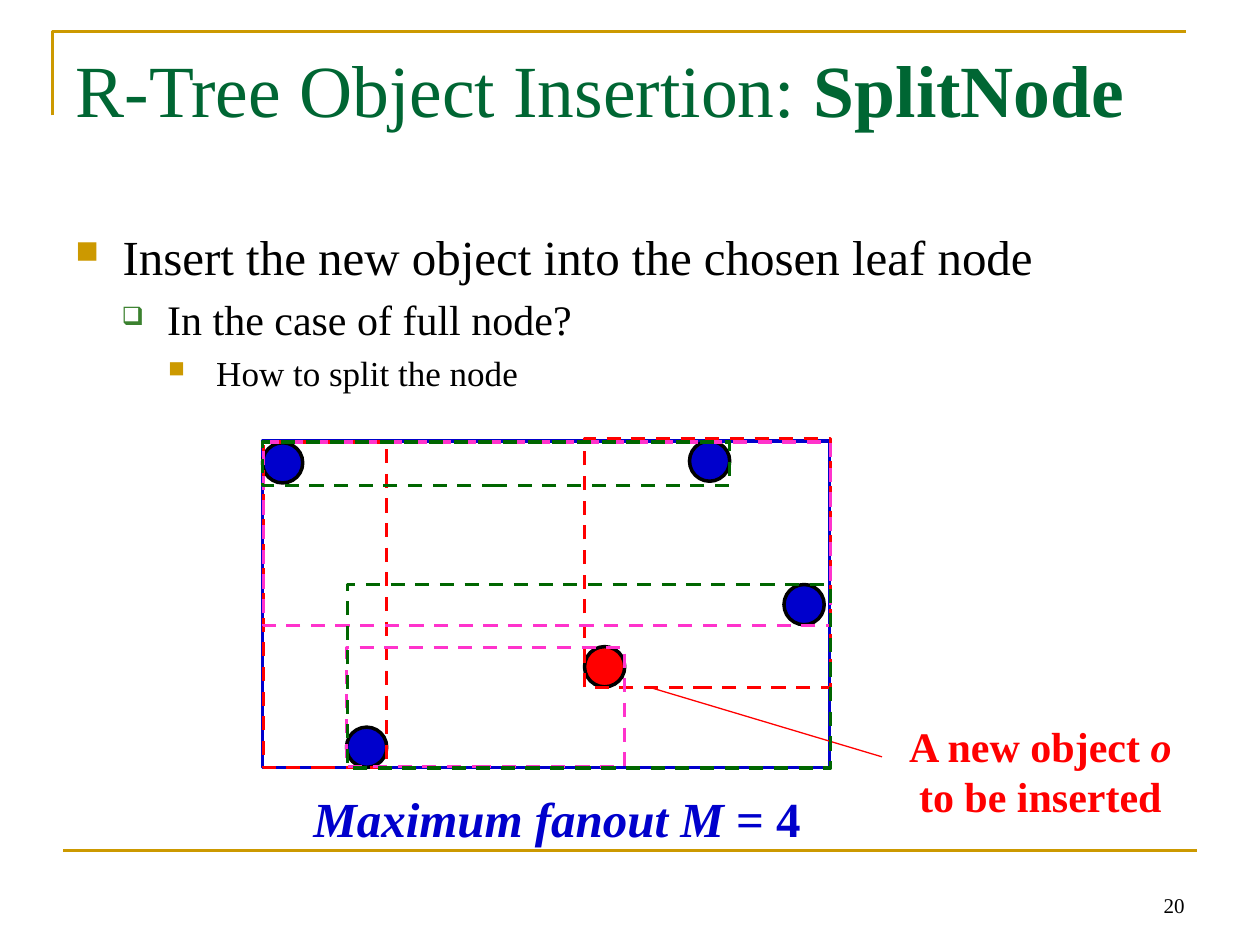
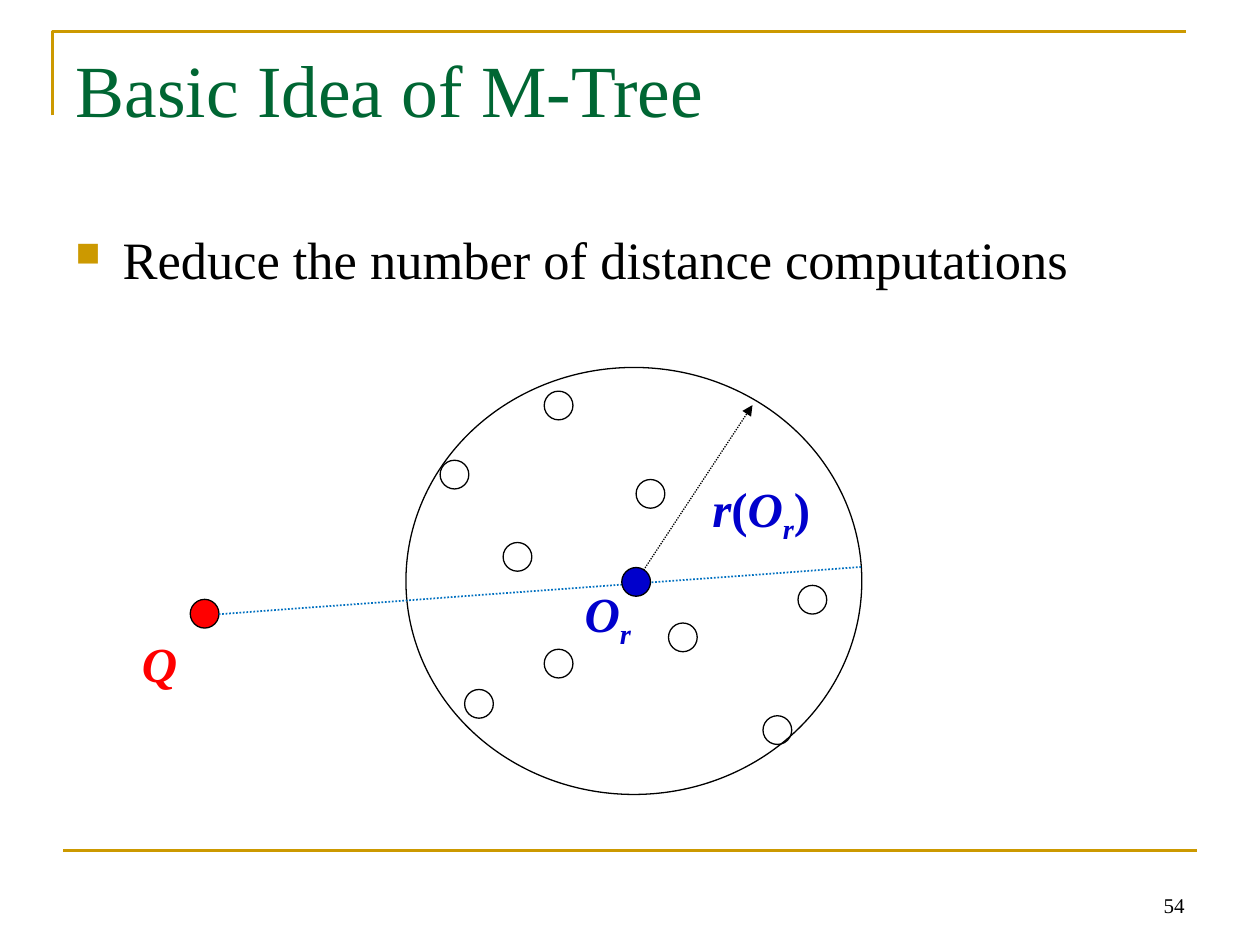
from lxml.etree import SubElement
from pptx import Presentation
from pptx.dml.color import RGBColor
from pptx.enum.dml import MSO_LINE as DASH
from pptx.enum.shapes import MSO_CONNECTOR, MSO_SHAPE
from pptx.enum.text import MSO_ANCHOR as ANCHOR, MSO_AUTO_SIZE as AUTO, PP_ALIGN as ALIGN
from pptx.oxml.ns import qn
from pptx.util import Pt

FONT = "Times New Roman"
COLORS = {
    "gold": "CC9900", "title": "006633", "sub_bullet": "3B812F", "black": "000000",
    "white": "FFFFFF", "blue": "0000CC", "red": "FF0000", "pink": "FF33CC",
    "green": "006600", "sky": "0070C0",
}
BULLETS = [
    ("■", "gold", 65, 27, 27),
    ("❑", "sub_bullet", 60, 52.5, 26),
    ("■", "gold", 65, 80.5, 27.5),
]

SPLIT = {
    "title": [("R-Tree Object Insertion: ", ""), ("SplitNode", "b")],
    "body": [
        ("Insert the new object into the chosen leaf node", 28),
        ("In the case of full node?", 24),
        ("How to split the node", 20),
    ],
    "align": ALIGN.JUSTIFY,
    "number": "20",
}
NODE = (150, 252, 324, 186.5)
BALL = 23
BALLS = [
    (334, 369.5, "red"), (150, 253, "blue"), (448, 334, "blue"),
    (394, 252, "blue"), (198, 415.5, "blue"),
]
SPLIT_BOXES = [
    (334, 250.5, 140.5, 142.5, "red"), (150.5, 252.5, 70.5, 186, "red"),
    (198, 370, 159, 68, "pink"), (150.5, 252.5, 324, 105, "pink"),
    (198.5, 334, 276, 105, "green"), (150, 252.5, 267, 25, "green"),
]
FANOUT = [("Maximum fanout M ", "bi"), ("= 4", "b")]
NEW_OBJECT = [("A new object ", "b"), ("o", "bi"), (" to be inserted", "b")]

MTREE = {
    "title": [("Basic Idea of M-Tree", "")],
    "body": [("Reduce the number of distance computations", 30)],
    "align": ALIGN.LEFT,
    "number": "54",
}
REGION = (232, 210, 260.5, 244)
DOT = 16.4
MEMBERS = [
    (311, 223.5), (287.5, 310), (363.5, 274), (456, 334.5), (436, 409),
    (251.5, 263), (311, 371), (382, 356), (265.5, 394),
]
QUERY, CENTER = (108.7, 342.5), (355.3, 324.3)
CENTER_LABEL = [("O", "bi"), ("r", "bis")]
RADIUS_LABEL = [("r", "bi"), ("(", "b"), ("O", "bi"), ("r", "bis"), (")", "b")]


def rgb(name):
    return RGBColor.from_string(COLORS[name])


def style_line(shape, color, width, dash=None):
    shape.line.color.rgb = rgb(color)
    shape.line.width = Pt(width)
    if dash:
        shape.line.dash_style = dash


def style_run(r, size, color, flags=""):
    r.font.name, r.font.size, r.font.color.rgb = FONT, Pt(size), rgb(color)
    r.font.bold, r.font.italic = "b" in flags, "i" in flags
    if "s" in flags:
        r._r.get_or_add_rPr().set("baseline", "-25000")


def write_runs(p, parts, size, color):
    for text, flags in parts:
        r = p.add_run()
        r.text = text
        style_run(r, size, color, flags)


def add_preset(s, kind, box, fill, line, width, dash=None):
    sp = s.shapes.add_shape(kind, *map(Pt, box))
    sp.shadow.inherit = False
    if fill:
        sp.fill.solid()
        sp.fill.fore_color.rgb = rgb(fill)
    else:
        sp.fill.background()
    style_line(sp, line, width, dash)


def add_line(s, start, end, color, width, dash=None, arrow=False):
    cx = s.shapes.add_connector(MSO_CONNECTOR.STRAIGHT, *map(Pt, start + end))
    style_line(cx, color, width, dash)
    if arrow:
        SubElement(cx.line._get_or_add_ln(), qn("a:tailEnd"), type="triangle")
    SubElement(cx._element.spPr, qn("a:effectLst"))


def add_text(s, box, parts, size, color, align=ALIGN.LEFT, anchor=ANCHOR.TOP, wrap=True):
    tf = s.shapes.add_textbox(*map(Pt, box)).text_frame
    tf.word_wrap, tf.vertical_anchor = wrap, anchor
    tf.paragraphs[0].alignment = align
    write_runs(tf.paragraphs[0], parts, size, color)


def set_bullet(p, level):
    char, color, percent, margin, hang = BULLETS[level]
    p.level = level
    pPr = p._p.get_or_add_pPr()
    pPr.set("marL", str(Pt(margin)))
    pPr.set("indent", str(-Pt(hang)))
    before = SubElement(pPr, qn("a:spcBef"))
    SubElement(before, qn("a:spcPct"), val="20000")
    tint = SubElement(pPr, qn("a:buClr"))
    SubElement(tint, qn("a:srgbClr"), val=COLORS[color])
    SubElement(pPr, qn("a:buSzPct"), val=str(percent * 1000))
    SubElement(pPr, qn("a:buChar"), char=char)


def add_body(s, lines, align):
    tf = s.shapes.add_textbox(Pt(36), Pt(126), Pt(648), Pt(356.5)).text_frame
    tf.word_wrap = True
    for level, (text, size) in enumerate(lines):
        p = tf.add_paragraph() if level else tf.paragraphs[0]
        p.text = text
        p.alignment = align
        set_bullet(p, level)
        style_run(p.runs[0], size, "black")


def add_base_slide(prs, content):
    s = prs.slides.add_slide(prs.slide_layouts[5])
    corner = s.shapes.build_freeform(Pt(30), Pt(66))
    corner.add_line_segments([(Pt(30), Pt(18)), (Pt(678), Pt(18))], close=False)
    sp = corner.convert_to_shape()
    sp.shadow.inherit = False
    sp.fill.background()
    style_line(sp, "gold", 1.5)
    add_line(s, (36, 486), (684, 486), "gold", 1.5)

    title = s.shapes.title
    title.left, title.top, title.width, title.height = map(Pt, (36, 21.6, 648, 90))
    tf = title.text_frame
    tf.auto_size, tf.word_wrap, tf.vertical_anchor = AUTO.NONE, True, ANCHOR.TOP
    tf.paragraphs[0].alignment = ALIGN.LEFT
    write_runs(tf.paragraphs[0], content["title"], 42, "title")

    add_body(s, content["body"], content["align"])
    add_text(s, (516, 492, 168, 36), [(content["number"], "")], 12, "black",
             ALIGN.RIGHT, ANCHOR.BOTTOM)
    return s


def build_split(prs):
    s = add_base_slide(prs, SPLIT)
    add_preset(s, MSO_SHAPE.RECTANGLE, NODE, "white", "blue", 2)
    for x, y, color in BALLS:
        add_preset(s, MSO_SHAPE.OVAL, (x, y, BALL, BALL), color, "black", 2)
    add_text(s, (172, 447, 296, 41), FANOUT, 28, "blue", wrap=False)
    add_text(s, (504, 408, 181, 65.5), NEW_OBJECT, 24, "red", ALIGN.CENTER)
    add_line(s, (372, 393), (504, 432.5), "red", 0.75)
    for *box, color in SPLIT_BOXES:
        add_preset(s, MSO_SHAPE.RECTANGLE, box, None, color, 2, DASH.DASH)


def build_mtree(prs):
    s = add_base_slide(prs, MTREE)

    def add_dot(at, fill=None):
        add_preset(s, MSO_SHAPE.OVAL, (*at, DOT, DOT), fill, "black", 0.75)

    add_preset(s, MSO_SHAPE.OVAL, REGION, None, "black", 0.75)
    add_line(s, (367, 327), (430, 231.5), "black", 0.75, DASH.ROUND_DOT, arrow=True)
    add_text(s, (327, 330, 51, 41), CENTER_LABEL, 28, "blue")
    add_text(s, (400, 270, 78, 41), RADIUS_LABEL, 28, "blue")
    for at in MEMBERS:
        add_dot(at)
    add_dot(QUERY, "red")
    add_text(s, (74, 358.5, 51, 41), [("Q", "bi")], 28, "red")
    add_line(s, (125, 351), (492, 324), "sky", 1, DASH.ROUND_DOT)
    add_dot(CENTER, "blue")


def main():
    prs = Presentation()
    prs.slide_width, prs.slide_height = Pt(720), Pt(540)
    build_split(prs)
    build_mtree(prs)
    prs.save("out.pptx")


if __name__ == "__main__":
    main()
